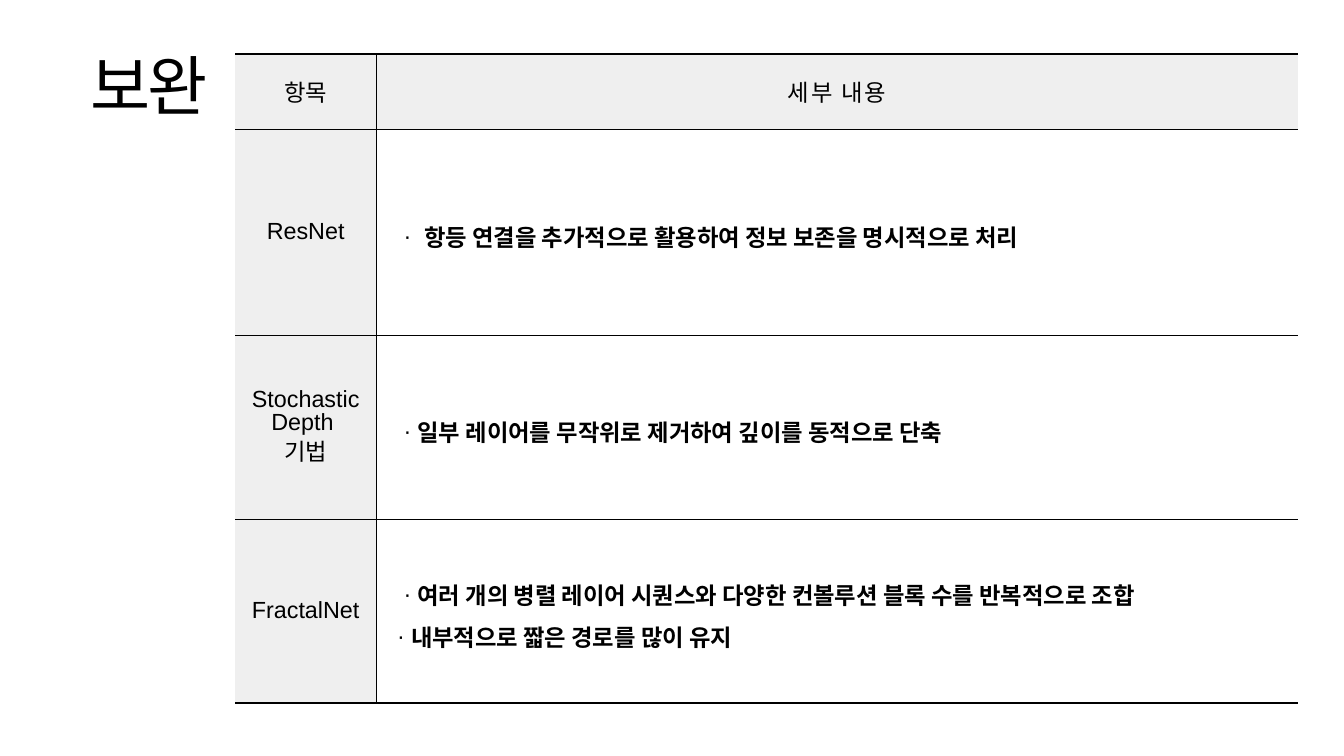
from pptx import Presentation
from pptx.dml.color import RGBColor
from pptx.enum.text import MSO_ANCHOR as Anchor, MSO_AUTO_SIZE as AutoSize, PP_ALIGN as Align
from pptx.oxml.ns import qn
from pptx.util import Pt
from lxml.etree import SubElement

BLACK, GRAY = "000000", "EFEFEF"
THIN, THICK = 1, 2.5


def color(value):
    return RGBColor.from_string(value)


class TableSlide:
    def __init__(self, deck, font="Arial", size=25):
        self.page = deck.slides.add_slide(deck.slide_layouts[5])
        self.font, self.size = font, size

    def add_span(self, para, text, font=None, size=None, bold=False, spacing=0):
        span = para.add_run()
        span.text = text
        span.font.name = font or self.font
        span.font.size = Pt(size or self.size)
        span.font.bold = bold
        span.font.color.rgb = color(BLACK)
        if spacing:
            span.font._element.set("spc", str(spacing * 100))

    def title(self, text, left, top, width, height):
        box = self.page.shapes.title
        box.left, box.top, box.width, box.height = map(Pt, (left, top, width, height))
        frame = box.text_frame
        frame.margin_left = frame.margin_right = frame.margin_top = frame.margin_bottom = 0
        frame.vertical_anchor = Anchor.MIDDLE
        frame.auto_size = AutoSize.NONE
        para = frame.paragraphs[0]
        para.alignment, para.line_spacing = Align.LEFT, 1.0
        self.add_span(para, text, "Calibri", 70, spacing=-3)

    def table(self, left, top, widths, heights):
        frame = self.page.shapes.add_table(len(heights), len(widths), Pt(left), Pt(top),
                                           Pt(sum(widths)), Pt(sum(heights)))
        grid = frame.table
        grid.first_row = grid.horz_banding = False
        for column, width in zip(grid.columns, widths):
            column.width = Pt(width)
        for row, height in zip(grid.rows, heights):
            row.height = Pt(height)
        return grid

    def border(self, cell, **widths):
        props = cell._tc.get_or_add_tcPr()
        for side in "LRTB":
            line = SubElement(props, qn(f"a:ln{side}"))
            width = widths.get(side)
            if width:
                line.set("w", str(Pt(width)))
                fill = SubElement(line, qn("a:solidFill"))
                SubElement(fill, qn("a:srgbClr")).set("val", BLACK)
            else:
                SubElement(line, qn("a:noFill"))

    def frame_cell(self, cell, fill=None):
        cell.vertical_anchor = Anchor.MIDDLE
        cell.margin_left = cell.margin_right = cell.margin_top = cell.margin_bottom = Pt(1.44)
        if fill:
            cell.fill.solid()
            cell.fill.fore_color.rgb = color(fill)
        else:
            cell.fill.background()

    def paragraphs(self, cell, count):
        frame = cell.text_frame
        for _ in range(count - 1):
            frame.add_paragraph()
        return frame.paragraphs

    def label(self, cell, lines, spacing=0):
        self.frame_cell(cell, GRAY)
        for para, text in zip(self.paragraphs(cell, len(lines)), lines):
            para.alignment, para.line_spacing = Align.CENTER, 0.92
            self.add_span(para, text, spacing=spacing)

    def bullets(self, cell, items):
        self.frame_cell(cell)
        for para, (text, indent, gap) in zip(self.paragraphs(cell, len(items)), items):
            para.alignment, para.line_spacing = Align.LEFT, 1.24
            props = para._p.get_or_add_pPr()
            props.set("marL", str(Pt(indent + gap)))
            props.set("indent", str(-Pt(gap)))
            SubElement(props, qn("a:buFont")).set("typeface", self.font)
            SubElement(props, qn("a:buChar")).set("char", "·")
            self.add_span(para, text, bold=True)


def main():
    deck = Presentation()
    deck.slide_width, deck.slide_height = Pt(1440), Pt(810)
    slide = TableSlide(deck)

    # Title
    slide.title("보완", 97.2, 41, 226.8, 98)

    # Table rules: thick at top and bottom, thin inside, open at the sides
    grid = slide.table(252, 58.3, [151, 988], [80, 221, 197, 197])
    last = len(grid.rows) - 1
    for index, row in enumerate(grid.rows):
        top = THICK if index == 0 else THIN
        bottom = THICK if index == last else THIN
        slide.border(row.cells[0], R=THIN, T=top, B=bottom)
        slide.border(row.cells[1], L=THIN, T=top, B=bottom)

    # Header row
    slide.label(grid.cell(0, 0), ["항목"])
    slide.label(grid.cell(0, 1), ["세부 내용"], spacing=2)

    # Body rows: label lines, then (text, bullet indent, gap after bullet)
    body = [
        (["ResNet"],
         [("항등 연결을 추가적으로 활용하여 정보 보존을 명시적으로 처리", 28, 22)]),
        (["Stochastic Depth ", "기법"],
         [("일부 레이어를 무작위로 제거하여 깊이를 동적으로 단축", 28, 15)]),
        (["FractalNet"],
         [("여러 개의 병렬 레이어 시퀀스와 다양한 컨볼루션 블록 수를 반복적으로 조합", 28, 15),
          ("내부적으로 짧은 경로를 많이 유지", 21, 15)]),
    ]
    for index, (lines, items) in enumerate(body, start=1):
        slide.label(grid.cell(index, 0), lines)
        slide.bullets(grid.cell(index, 1), items)

    deck.save("out.pptx")


if __name__ == "__main__":
    main()
